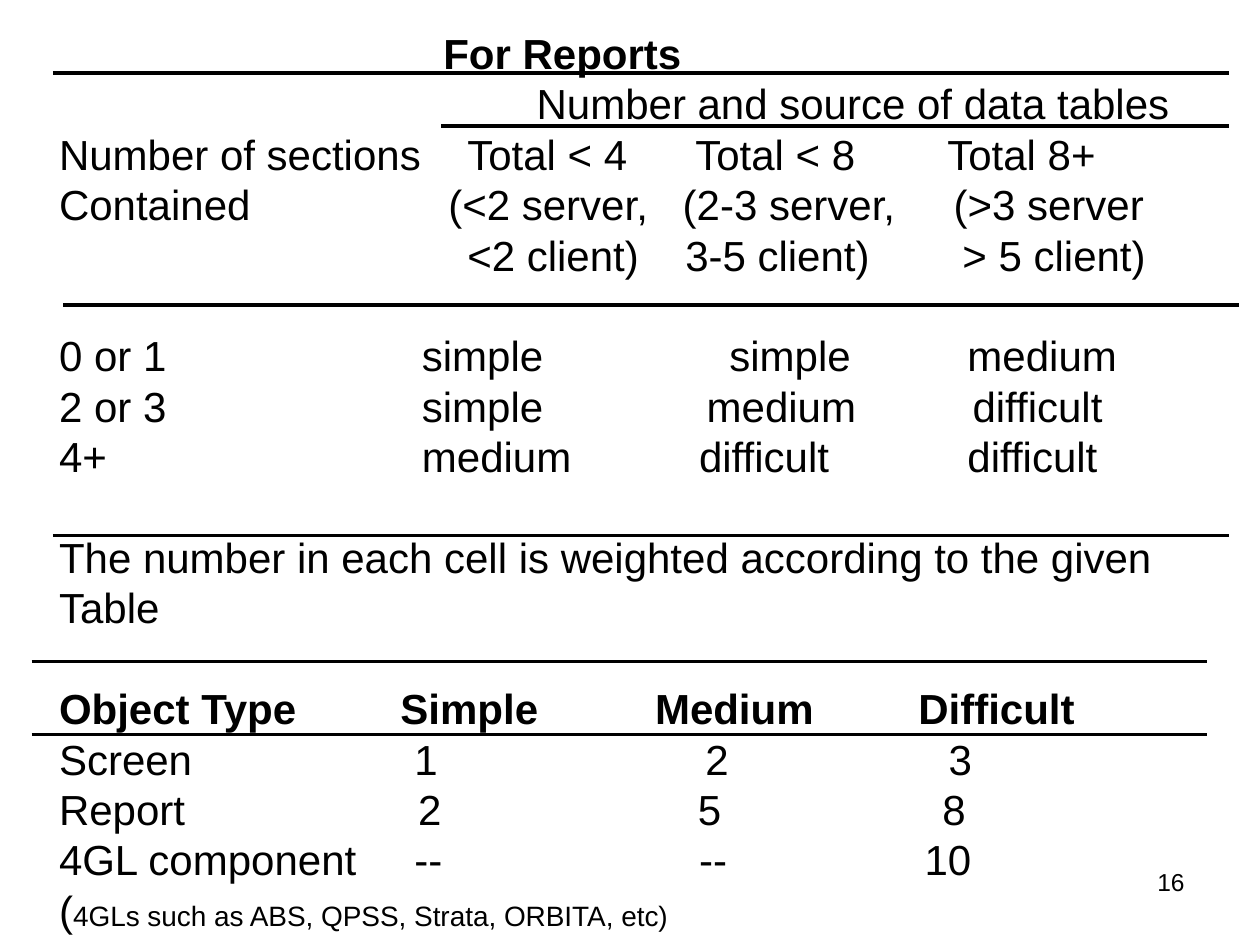
from lxml import etree
from pptx import Presentation
from pptx.dml.color import RGBColor
from pptx.enum.shapes import MSO_CONNECTOR
from pptx.enum.text import PP_ALIGN
from pptx.oxml.ns import qn
from pptx.util import Inches, Pt

STRAIGHT = MSO_CONNECTOR.STRAIGHT
LEFT, RIGHT = PP_ALIGN.LEFT, PP_ALIGN.RIGHT
BLACK = RGBColor(0, 0, 0)
FONT = "Arial"
LINE_HEIGHT = Pt(28.8)

# Each row: cells, tab stops in inches, extra format
REPORT_ROWS = [
    (["", "For Reports"], [3.05], {"bold": True}),
    (["", "Number and source of data tables"], [3.79], {}),
    (["Number of sections", "Total < 4", "Total < 8", "Total 8+"],
     [3.24, 5.05, 7.05], {}),
    (["Contained", "(<2 server,", "(2-3 server,", "(>3 server"],
     [3.09, 4.95, 7.1], {}),
    (["", "<2 client)", "3-5 client)", "> 5 client)"], [3.24, 4.97, 7.17], {}),
    (["0 or 1", "simple", "simple", "medium"],
     [2.88, 5.32, 7.21], {"gap": True}),
    (["2 or 3", "simple", "medium", "difficult"], [2.88, 5.14, 7.25], {}),
    (["4+", "medium", "difficult", "difficult"], [2.88, 5.08, 7.21], {}),
]
NOTE_ROWS = [
    (["The number in each cell is weighted according to the given"],
     [], {"gap": True}),
    (["Table"], [], {}),
]
WEIGHT_ROWS = [
    (["Object Type", "Simple", "Medium", "Difficult"],
     [2.71, 4.73, 6.82], {"gap": True, "bold": True}),
    (["Screen", "1", "2", "3"], [2.82, 5.13, 7.06], {}),
    (["Report", "2", "5", "8"], [2.85, 5.07, 7.01], {}),
    (["4GL component", "--", "--", "10"], [2.82, 5.08, 6.87], {}),
]
# Each rule: left, right, height on the slide
RULES = [
    (0.25, 9.58, 5.83),
    (0.25, 9.58, 5.25),
    (0.42, 9.75, 0.58),
    (3.5, 9.75, 1),
    (0.5, 9.83, 2.42),
    (0.42, 9.75, 4.25),
]


def add_text_box(s, left, top, width, height):
    tf = s.shapes.add_textbox(*map(Inches, (left, top, width, height))).text_frame
    tf.word_wrap = True
    return tf


def add_run(p, text, size=24, bold=False):
    r = p.add_run()
    r.text = text
    formats = {"name": FONT, "size": Pt(size), "bold": bold}
    for name, value in formats.items():
        setattr(r.font, name, value)
    r.font.color.rgb = BLACK


def add_tab_stops(p, stops):
    tab_list = etree.SubElement(p._p.get_or_add_pPr(), qn("a:tabLst"))
    for stop in stops:
        etree.SubElement(tab_list, qn("a:tab"), pos=str(Inches(stop)), algn="l")


def add_row(p, cells, stops, gap=False, bold=False):
    """Write the cells as one tabbed line; gap leaves a free line above."""
    formats = {"alignment": LEFT, "line_spacing": LINE_HEIGHT,
               "space_before": LINE_HEIGHT if gap else Pt(0)}
    for name, value in formats.items():
        setattr(p, name, value)
    if stops:
        add_tab_stops(p, stops)
    add_run(p, "\t".join(cells), bold=bold)


def add_rule(s, left, right, y):
    line = s.shapes.add_connector(
        STRAIGHT, Inches(left), Inches(y), Inches(right), Inches(y))
    line.line.color.rgb = BLACK
    line.line.width = Pt(2)
    etree.SubElement(line._element.spPr, qn("a:effectLst"))


def add_page_number(s, number):
    p = add_text_box(s, 7.17, 6.83, 2.33, 0.52).paragraphs[0]
    p.alignment = RIGHT
    add_run(p, number, size=14)


def add_body(s):
    tf = add_text_box(s, 0.37, 0.17, 9.02, 7.3)
    tf.margin_right = 0
    p = tf.paragraphs[0]
    for cells, stops, extra in REPORT_ROWS + NOTE_ROWS + WEIGHT_ROWS:
        add_row(p, cells, stops, **extra)
        p = tf.add_paragraph()
    add_row(p, ["("], [])
    add_run(p, "4GLs such as ABS, QPSS, Strata, ORBITA, etc)", size=16)


def main():
    prs = Presentation()
    prs.slide_width, prs.slide_height = Inches(10), Inches(7.5)
    s = prs.slides.add_slide(prs.slide_layouts[6])
    add_page_number(s, "16")
    add_body(s)
    for rule in RULES:
        add_rule(s, *rule)
    prs.save("out.pptx")


if __name__ == "__main__":
    main()
